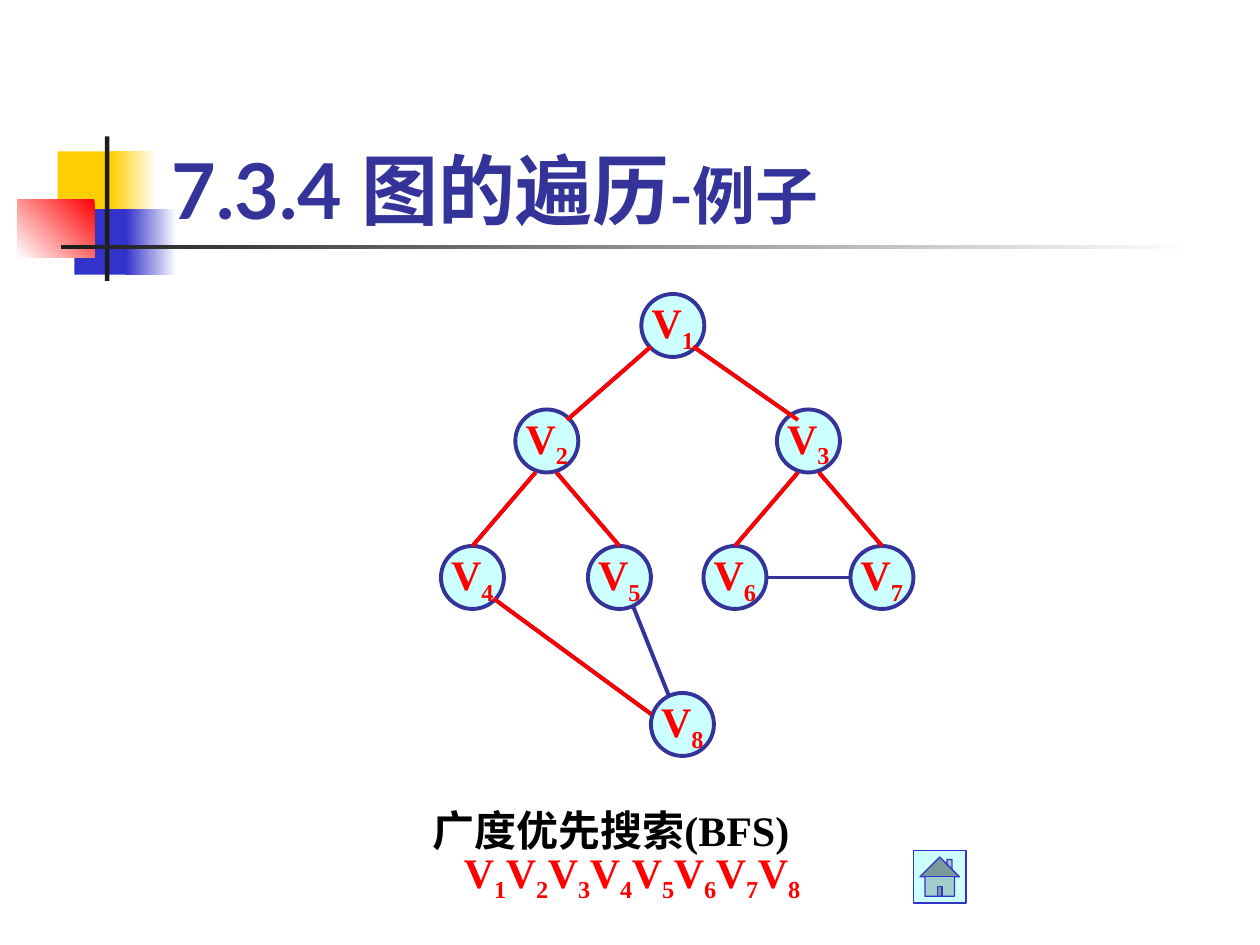
"""Build the slide on breadth-first search of a graph."""
from pptx import Presentation
from pptx.dml.color import RGBColor
from pptx.enum.shapes import MSO_CONNECTOR, MSO_SHAPE
from pptx.enum.text import MSO_ANCHOR, PP_ALIGN
from pptx.oxml.ns import qn
from pptx.util import Pt
from lxml.etree import SubElement

WHITE = RGBColor(0xFF, 0xFF, 0xFF)
GOLD = RGBColor(0xFF, 0xCF, 0x01)
BLUE = RGBColor(0x33, 0x33, 0xCC)
NAVY = RGBColor(0x33, 0x33, 0x99)
RED = RGBColor(0xFF, 0x00, 0x00)
DARK = RGBColor(0x1C, 0x1C, 0x1C)
CYAN = RGBColor(0xCC, 0xFF, 0xFF)
BLACK = RGBColor(0x00, 0x00, 0x00)

prs = Presentation()
prs.slide_width, prs.slide_height = Pt(720), Pt(540)
slide = prs.slides.add_slide(prs.slide_layouts[6])
shapes = slide.shapes


def write(para, parts, face, color):
    for text, size, base in parts:
        run = para.add_run()
        run.text = text
        run.font.name = face
        run.font.size = Pt(size)
        run.font.bold = True
        run.font.color.rgb = color
        if base:
            run._r.get_or_add_rPr().set("baseline", str(base))


def link(edge, color):
    line = shapes.add_connector(MSO_CONNECTOR.STRAIGHT, *map(Pt, edge))
    line.line.color.rgb = color
    line.line.width = Pt(2.25)
    SubElement(line._element.spPr, qn("a:effectLst"))


blocks = [
    (33, 86.5, 34.5, 37.5, GOLD, None, None),
    (63.5, 86.5, 26, 37.5, WHITE, GOLD, 180),
    (42.5, 119.5, 33, 37.5, BLUE, None, None),
    (72, 119.5, 29, 37.5, WHITE, BLUE, 180),
    (10, 113.75, 44, 33.25, RED, WHITE, 225),
    (60, 78, 2.5, 82.5, DARK, None, None),
    (34.75, 140, 648, 2.5, WHITE, DARK, 180),
]
for left, top, width, height, first, last, angle in blocks:
    block = shapes.add_shape(MSO_SHAPE.RECTANGLE, Pt(left), Pt(top), Pt(width), Pt(height))
    block.shadow.inherit = False
    block.line.fill.background()
    if last is None:
        block.fill.solid()
        block.fill.fore_color.rgb = first
    else:
        block.fill.gradient()
        block.fill.gradient_angle = angle
        for stop, color, place in zip(block.fill.gradient_stops, (first, last), (0, 1)):
            stop.color.rgb = color
            stop.position = place

title = shapes.add_textbox(Pt(91), Pt(48), Pt(613.5), Pt(90)).text_frame
title.word_wrap = True
title.vertical_anchor = MSO_ANCHOR.BOTTOM
write(title.paragraphs[0], [("7.3.4 图的遍历", 44, 0), ("-例子", 36, 0)], "Lato", NAVY)

home = shapes.add_shape(MSO_SHAPE.ACTION_BUTTON_HOME, Pt(522), Pt(486), Pt(30), Pt(30))
home.shadow.inherit = False
home.fill.solid()
home.fill.fore_color.rgb = CYAN
home.line.color.rgb = BLUE
home.line.width = Pt(0.75)

tree = [
    None,
    (372, 198, 324, 240),
    (396, 198, 456, 240),
    (306, 270, 270, 312),
    (318, 270, 354, 312),
    (456, 270, 420, 312),
    (468, 270, 504, 312),
    (282, 342, 372, 408),
]
cross = [(360, 342, 384, 402), (438, 330, 486, 330)]
for edge in tree[1:] + cross:
    link(edge, NAVY)

label = shapes.add_textbox(Pt(240), Pt(456), Pt(234), Pt(36)).text_frame
label.word_wrap = True
write(label.paragraphs[0], [("广度优先搜索(BFS)", 24, 0)], "Times New Roman", BLACK)

nodes = [
    (366.5, 168), (294.5, 234), (444, 234), (252, 312),
    (336, 312), (402, 312), (486, 312), (372, 396),
]
for i, ((left, top), edge) in enumerate(zip(nodes, tree)):
    name = [("V", 24, 0), (str(i + 1), 24, -25000)]
    node = shapes.add_shape(MSO_SHAPE.OVAL, Pt(left), Pt(top), Pt(36), Pt(36))
    node.shadow.inherit = False
    node.fill.solid()
    node.fill.fore_color.rgb = CYAN
    node.line.color.rgb = NAVY
    node.line.width = Pt(2.25)
    frame = node.text_frame
    frame.word_wrap = False
    frame.vertical_anchor = MSO_ANCHOR.MIDDLE
    frame.paragraphs[0].alignment = PP_ALIGN.CENTER
    write(frame.paragraphs[0], name, "Times New Roman", RED)
    if edge:
        link(edge, RED)
    step = shapes.add_textbox(Pt(258 + 24 * i), Pt(480), Pt(42), Pt(40)).text_frame
    step.word_wrap = True
    write(step.paragraphs[0], name, "Times New Roman", RED)

prs.save("out.pptx")
